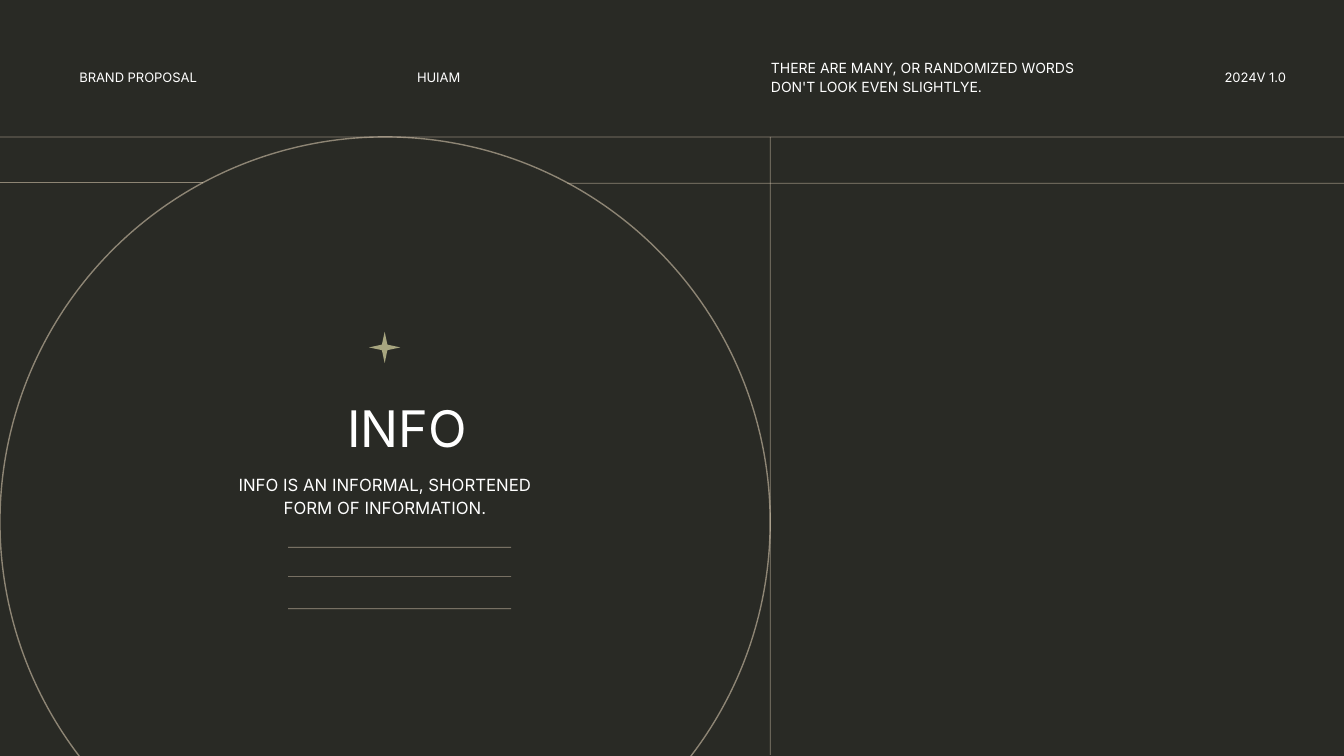
from dataclasses import dataclass

from lxml.etree import SubElement
from pptx import Presentation
from pptx.dml.color import RGBColor
from pptx.dml.line import LineFormat
from pptx.enum.shapes import MSO_CONNECTOR as CONN, MSO_SHAPE as SHAPE
from pptx.enum.text import MSO_ANCHOR as ANCHOR, MSO_AUTO_SIZE as AUTO, PP_ALIGN as ALIGN
from pptx.oxml.ns import qn
from pptx.slide import Slide
from pptx.util import Cm, Pt

BACKGROUND = RGBColor(0x29, 0x2A, 0x25)
SAND = RGBColor(0xE7, 0xD6, 0xBC)
OLIVE = RGBColor(0xA7, 0xA5, 0x7F)
WHITE = RGBColor(0xFF, 0xFF, 0xFF)
FONT = "Inter"

WIDTH, HEIGHT = 33.87, 19.05
HEADER_Y = 3.45
RING_SIZE = 19.41
HEADER_TEXT_Y = 1.57


@dataclass
class Rule:
    x1: float
    y1: float
    x2: float
    y2: float
    opacity: int = 53


@dataclass
class Label:
    text: str
    x: float
    y: float
    w: float
    h: float
    size: float = 16
    align: ALIGN = ALIGN.LEFT
    spacing: float | None = None
    raised: bool = True


RULES = [
    Rule(0, HEADER_Y, WIDTH, HEADER_Y),
    Rule(RING_SIZE, HEADER_Y, RING_SIZE, 19.02),
    Rule(14.3, 4.62, WIDTH, 4.62),
    Rule(0, 4.6, 5.11, 4.6),
    *(Rule(7.26, y, 12.88, y, 64) for y in (13.79, 14.53, 15.34)),
]

LABELS = [
    Label("BRAND PROPOSAL", 1.75, HEADER_TEXT_Y, 4.65, 0.71),
    Label("HUIAM", 10.26, HEADER_TEXT_Y, 4.65, 0.71),
    Label("THERE ARE MANY, OR RANDOMIZED WORDS DON'T LOOK EVEN SLIGHTLYE.",
          19.18, 1.35, 8.59, 1.14, size=10, spacing=13, raised=False),
    Label("2024V 1.0", 30.02, HEADER_TEXT_Y, 2.64, 0.71, align=ALIGN.RIGHT),
    Label("INFO IS AN INFORMAL, SHORTENED FORM OF INFORMATION.",
          5.69, 11.79, 8.03, 1.35, size=12, align=ALIGN.CENTER, spacing=16, raised=False),
]


def write(tf, text: str, *, size: float, align: ALIGN = ALIGN.LEFT,
          spacing: float | None = None, raised: bool = False) -> None:
    tf.word_wrap = True
    tf.auto_size = AUTO.NONE
    tf.vertical_anchor = ANCHOR.TOP
    p = tf.paragraphs[0]
    p.alignment = align
    if spacing:
        p.line_spacing = Pt(spacing)
    r = p.add_run()
    r.text = text
    r.font.name = FONT
    r.font.size = Pt(size)
    r.font.color.rgb = WHITE
    if raised:
        r.font._element.set("baseline", "30000")


def style_line(line: LineFormat, width: float, opacity: int) -> None:
    line.width = Pt(width)
    line.color.rgb = SAND
    color = line.fill._xPr.find(".//" + qn("a:srgbClr"))
    SubElement(color, qn("a:alpha"), val=str(opacity * 1000))


def add_rule(slide: Slide, rule: Rule) -> None:
    sp = slide.shapes.add_connector(
        CONN.STRAIGHT, Cm(rule.x1), Cm(rule.y1), Cm(rule.x2), Cm(rule.y2))
    style_line(sp.line, 0.5, rule.opacity)
    SubElement(sp._element.spPr, qn("a:effectLst"))


def add_label(slide: Slide, label: Label) -> None:
    sp = slide.shapes.add_textbox(Cm(label.x), Cm(label.y), Cm(label.w), Cm(label.h))
    write(sp.text_frame, label.text, size=label.size, align=label.align,
          spacing=label.spacing, raised=label.raised)


def add_ring(slide: Slide) -> None:
    sp = slide.shapes.add_shape(SHAPE.OVAL, 0, Cm(HEADER_Y), Cm(RING_SIZE), Cm(RING_SIZE))
    sp.shadow.inherit = False
    sp.fill.background()
    style_line(sp.line, 1, 53)


def add_star(slide: Slide) -> None:
    sp = slide.shapes.add_shape(SHAPE.STAR_4_POINT, Cm(9.3), Cm(8.36), Cm(0.79), Cm(0.79))
    sp.shadow.inherit = False
    sp.fill.solid()
    sp.fill.fore_color.rgb = OLIVE
    sp.line.fill.background()


def set_title(slide: Slide) -> None:
    title = slide.shapes.title
    title.left, title.top, title.width, title.height = Cm(6.83), Cm(9.47), Cm(6.86), Cm(2.03)
    write(title.text_frame, "INFO", size=36, align=ALIGN.CENTER, spacing=55)


def main() -> None:
    prs = Presentation()
    prs.slide_width, prs.slide_height = Cm(WIDTH), Cm(HEIGHT)
    slide = prs.slides.add_slide(prs.slide_layouts.get_by_name("Title Only"))
    slide.background.fill.solid()
    slide.background.fill.fore_color.rgb = BACKGROUND
    set_title(slide)
    for rule in RULES:
        add_rule(slide, rule)
    add_ring(slide)
    add_star(slide)
    for label in LABELS:
        add_label(slide, label)
    prs.save("out.pptx")


if __name__ == "__main__":
    main()
